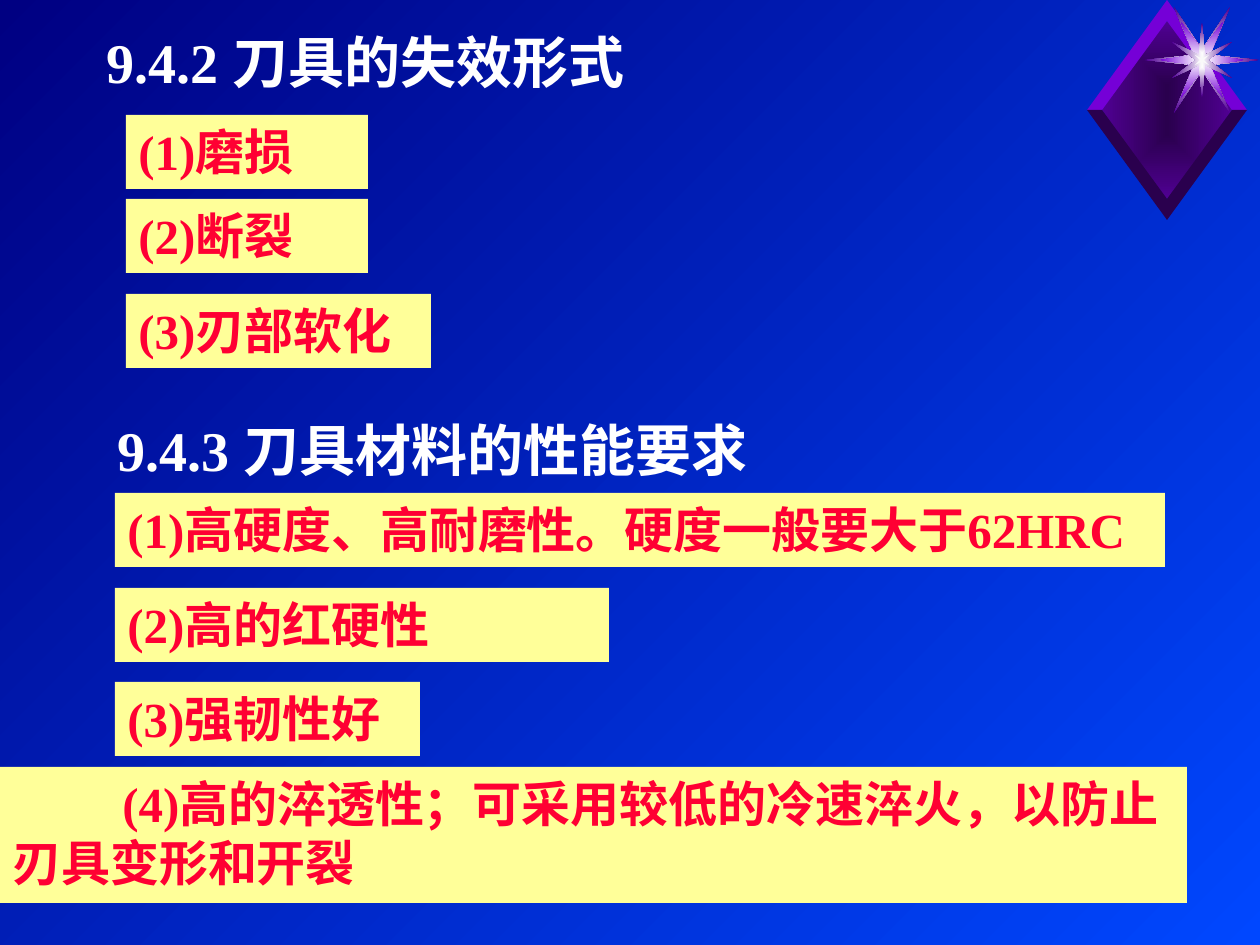
from dataclasses import dataclass

from lxml.etree import SubElement
from pptx import Presentation
from pptx.dml.color import RGBColor
from pptx.enum.shapes import MSO_SHAPE
from pptx.enum.text import MSO_ANCHOR, PP_ALIGN
from pptx.oxml.ns import qn
from pptx.util import Pt

EMU_PER_PX = 914400 / 126
Point = tuple[int, int]


@dataclass(frozen=True)
class Theme:
    font: str = "Times New Roman"
    heading_size: int = 32
    item_size: int = 28
    heading: str = "FFFFFF"
    item: str = "FF0033"
    item_fill: str = "FFFF99"
    background: tuple[str, str] = ("0047FF", "000082")
    gem_dark: str = "2A004E"
    gem_middle: str = "500093"
    gem_bright: str = "7500D7"
    glow: str = "FFFFFF"
    glow_center: str = "F9F9F9"


@dataclass(frozen=True)
class Box:
    left: int
    top: int
    width: int
    height: int

    def emu(self) -> list[int]:
        return [px(value) for value in (self.left, self.top, self.width, self.height)]


@dataclass(frozen=True)
class Item:
    text: str
    box: Box
    indent: int = 0


@dataclass(frozen=True)
class Star:
    quarter: list[Point]
    colors: tuple[str, ...]


THEME = Theme()
GEM_CENTER = (1167, 110)
STAR_CENTER = (1202, 60)
GEM_INNER = [(65, 0), (0, 89)]
GEM_OUTER = [(80, 0), (0, 110)]
STARS = [
    Star([(57, 0), (8, 5), (28, 53), (0, 10)], (THEME.glow, THEME.gem_middle)),
    Star([(42, 0), (8, 5), (21, 38), (0, 10)], (THEME.glow, THEME.gem_bright)),
    Star([(6, 0), (30, 18), (3, 5), (0, 37)], (THEME.glow, THEME.gem_middle)),
    Star([(2, 0), (7, 5), (1, 2), (0, 9)], (THEME.glow_center,)),
]
TITLE = Item("9.4.2 刀具的失效形式", Box(94, 21, 798, 94))
SUBTITLE = Item("9.4.3 刀具材料的性能要求", Box(105, 409, 798, 94))
ITEMS = [
    Item("(1)磨损", Box(126, 115, 242, 74)),
    Item("(2)断裂", Box(126, 199, 242, 74)),
    Item("(3)刃部软化", Box(126, 294, 305, 74)),
    Item("(1)高硬度、高耐磨性。硬度一般要大于62HRC", Box(115, 493, 1050, 74)),
    Item("(2)高的红硬性", Box(115, 588, 494, 74)),
    Item("(3)强韧性好", Box(115, 682, 305, 74)),
    Item("(4)高的淬透性；可采用较低的冷速淬火，以防止刃具变形和开裂",
         Box(0, 767, 1187, 136), indent=110),
]


def px(value: int) -> int:
    return round(value * EMU_PER_PX)


def rgb(color: str) -> RGBColor:
    return RGBColor.from_string(color)


def set_gradient(fill, colors: tuple[str, ...]) -> None:
    fill.gradient()
    for stop, color in zip(fill.gradient_stops, colors):
        stop.color.rgb = rgb(color)


def set_center_gradient(shape, colors: tuple[str, ...]) -> None:
    set_gradient(shape.fill, colors)
    gradient = shape._element.spPr.find(qn("a:gradFill"))
    gradient.remove(gradient.find(qn("a:lin")))
    path = SubElement(gradient, qn("a:path"), {"path": "rect"})
    SubElement(path, qn("a:fillToRect"), {side: "50000" for side in "ltrb"})


def mirror(quarter: list[Point]) -> list[Point]:
    half = quarter + [(-x, y) for x, y in reversed(quarter[:-1])]
    return half + [(x, -y) for x, y in reversed(half[1:-1])]


def add_outline(slide, center: Point, points: list[Point], colors: tuple[str, ...]) -> None:
    start, *rest = [(center[0] + x, center[1] + y) for x, y in points]
    builder = slide.shapes.build_freeform(*start, scale=EMU_PER_PX)
    builder.add_line_segments(rest, close=True)
    shape = builder.convert_to_shape()
    shape.shadow.inherit = False
    shape.line.fill.background()
    if len(colors) > 1:
        set_center_gradient(shape, colors)
    else:
        shape.fill.solid()
        shape.fill.fore_color.rgb = rgb(colors[0])


def add_gem(slide) -> None:
    add_outline(slide, GEM_CENTER, mirror(GEM_INNER), (THEME.gem_dark, THEME.gem_middle))
    for vertical, color in ((-1, THEME.gem_bright), (1, THEME.gem_dark)):
        for side in (1, -1):
            facet = [(x * side, y * vertical) for x, y in GEM_INNER + GEM_OUTER[::-1]]
            add_outline(slide, GEM_CENTER, facet, (color,))
    for star in STARS:
        add_outline(slide, STAR_CENTER, mirror(star.quarter), star.colors)


def write_text(shape, item: Item, size: int, color: str) -> None:
    text_frame = shape.text_frame
    text_frame.text = item.text
    text_frame.word_wrap = True
    text_frame.vertical_anchor = MSO_ANCHOR.TOP
    paragraph = text_frame.paragraphs[0]
    paragraph.alignment = PP_ALIGN.LEFT
    if item.indent:
        paragraph._p.get_or_add_pPr().set("indent", str(px(item.indent)))
    font = paragraph.runs[0].font
    font.name = THEME.font
    font.size = Pt(size)
    font.bold = True
    font.color.rgb = rgb(color)


def add_item(slide, item: Item) -> None:
    shape = slide.shapes.add_shape(MSO_SHAPE.RECTANGLE, *item.box.emu())
    shape.shadow.inherit = False
    shape.fill.solid()
    shape.fill.fore_color.rgb = rgb(THEME.item_fill)
    shape.line.fill.background()
    write_text(shape, item, THEME.item_size, THEME.item)


def main() -> None:
    presentation = Presentation()
    presentation.slide_width, presentation.slide_height = px(1260), px(945)
    slide = presentation.slides.add_slide(presentation.slide_layouts[5])
    set_gradient(slide.background.fill, THEME.background)
    slide.background.fill.gradient_angle = 135

    add_gem(slide)
    title = slide.shapes.title
    title.left, title.top, title.width, title.height = TITLE.box.emu()
    subtitle = slide.shapes.add_textbox(*SUBTITLE.box.emu())
    for shape, heading in ((title, TITLE), (subtitle, SUBTITLE)):
        write_text(shape, heading, THEME.heading_size, THEME.heading)
    for item in ITEMS:
        add_item(slide, item)

    presentation.save("out.pptx")


if __name__ == "__main__":
    main()
